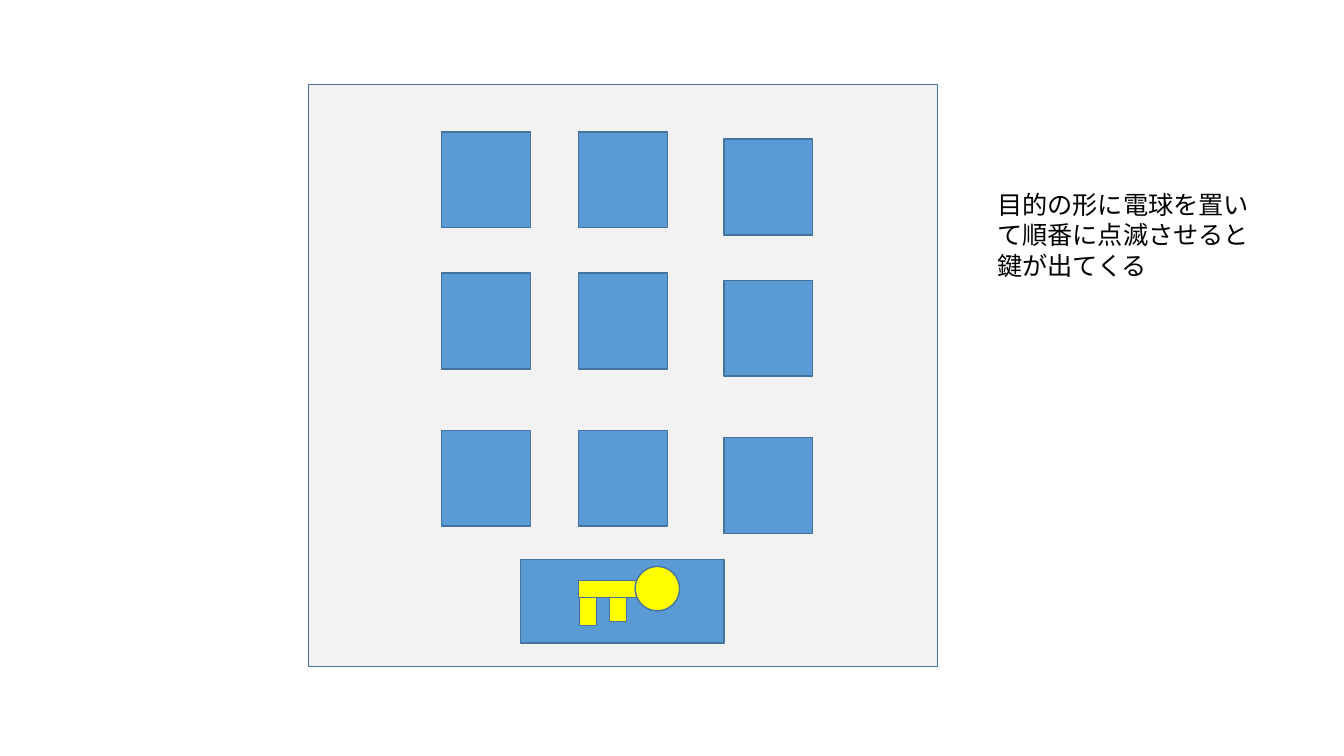
from dataclasses import dataclass
from pptx import Presentation
from pptx.dml.color import RGBColor
from pptx.enum.shapes import MSO_SHAPE
from pptx.enum.text import MSO_AUTO_SIZE
from pptx.util import Inches, Pt


@dataclass(frozen=True)
class Theme:
    board: RGBColor = RGBColor(0xF2, 0xF2, 0xF2)
    tile: RGBColor = RGBColor(0x5B, 0x9B, 0xD5)
    edge: RGBColor = RGBColor(0x43, 0x73, 0x9E)
    key: RGBColor = RGBColor(0xFF, 0xFF, 0x00)
    ink: RGBColor = RGBColor(0, 0, 0)
    font: str = "Calibri"
    body: Pt = Pt(18)
    line: Pt = Pt(1)


THEME = Theme()


def add_block(shapes, box, fill, kind=MSO_SHAPE.RECTANGLE):
    shape = shapes.add_shape(kind, *map(Inches, box))
    shape.shadow.inherit = False
    shape.fill.solid()
    shape.fill.fore_color.rgb = fill
    shape.line.color.rgb = THEME.edge
    shape.line.width = THEME.line
    return shape


# Board with a grid of lamp tiles; the last column sits slightly lower
def add_board(shapes, box):
    left, top = box[:2]
    add_block(shapes, box, THEME.board)
    for y in (0.47, 1.87, 3.43):
        for x, drop in ((1.32, 0), (2.68, 0), (4.12, 0.07)):
            tile = (left + x, top + y + drop, 0.88, 0.95)
            add_block(shapes, tile, THEME.tile)


# Tray holding the key: two teeth, shaft and round head
def add_tray(shapes, box):
    left, top = box[:2]
    add_block(shapes, box, THEME.tile)
    key = shapes.add_group_shape().shapes
    for x, y in ((0.79, 0.35), (0.49, 0.39)):
        tooth = add_block(key, (left + x, top + y, 0.36, 0.17), THEME.key)
        tooth.rotation = 90
    add_block(key, (left + 0.58, top + 0.21, 0.61, 0.17), THEME.key)
    head = (left + 1.14, top + 0.07, 0.44, 0.44)
    add_block(key, head, THEME.key, MSO_SHAPE.OVAL)


# Explanation beside the board
def add_note(shapes, box, text):
    frame = shapes.add_textbox(*map(Inches, box)).text_frame
    frame.word_wrap = True
    frame.auto_size = MSO_AUTO_SIZE.SHAPE_TO_FIT_TEXT
    para = frame.paragraphs[0]
    para.text = text
    para.font.name = THEME.font
    para.font.size = THEME.body
    para.font.color.rgb = THEME.ink


def main():
    deck = Presentation()
    deck.slide_width, deck.slide_height = Inches(13.33), Inches(7.5)
    shapes = deck.slides.add_slide(deck.slide_layouts[6]).shapes
    add_board(shapes, (3.06, 0.84, 6.24, 5.77))
    add_tray(shapes, (5.16, 5.55, 2.02, 0.83))
    add_note(shapes, (9.79, 1.83, 2.79, 1.01),
             "目的の形に電球を置いて順番に点滅させると鍵が出てくる")
    deck.save("out.pptx")


if __name__ == "__main__":
    main()
